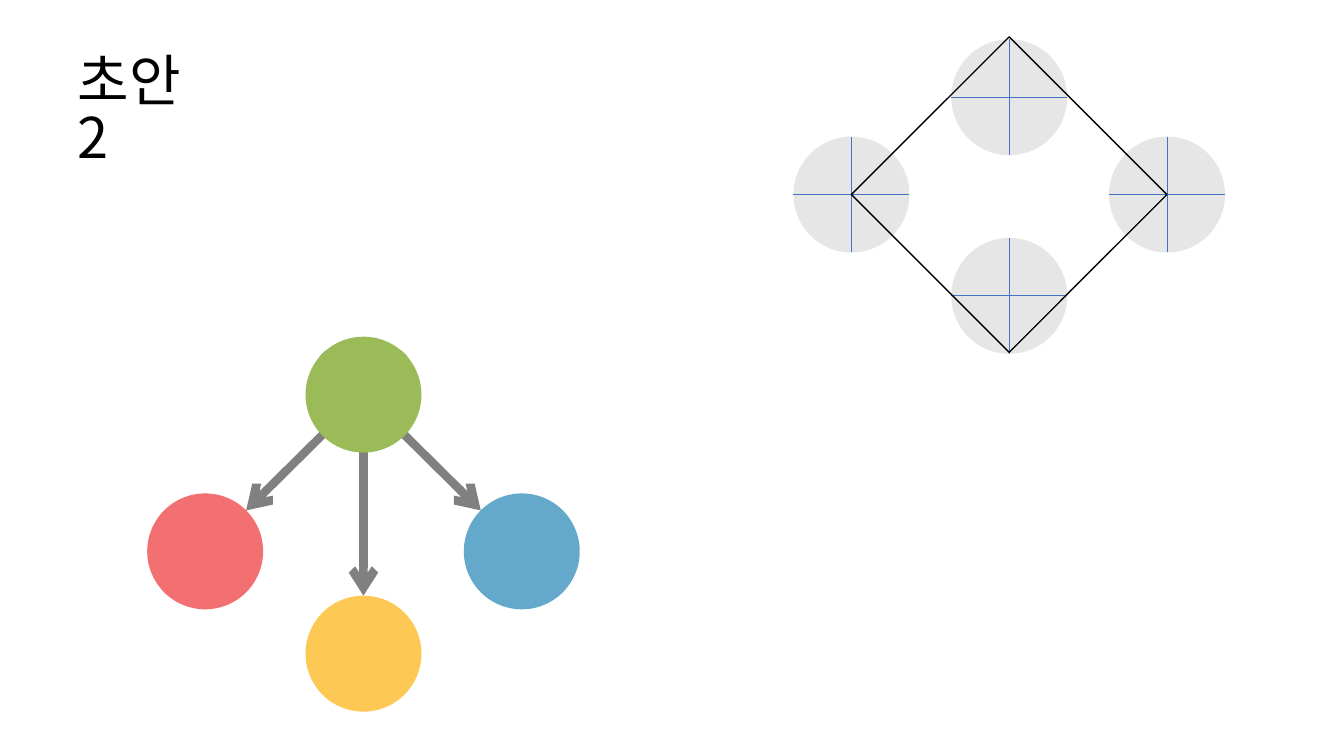
import math

import pptx
import pptx.dml.color
import pptx.enum.shapes
import pptx.enum.text
import pptx.oxml.ns
import pptx.util
from lxml import etree

Inches = pptx.util.Inches
Pt = pptx.util.Pt
RGBColor = pptx.dml.color.RGBColor
MSO_SHAPE = pptx.enum.shapes.MSO_SHAPE
qn = pptx.oxml.ns.qn

BLACK = RGBColor(0x00, 0x00, 0x00)
RED = RGBColor(0xF2, 0x70, 0x71)
YELLOW = RGBColor(0xFE, 0xC8, 0x54)
BLUE = RGBColor(0x64, 0xA9, 0xCB)
GREEN = RGBColor(0x9B, 0xBB, 0x58)
PALE_GRAY = RGBColor(0xE7, 0xE6, 0xE6)
ARROW_GRAY = RGBColor(0x80, 0x80, 0x80)
GUIDE_BLUE = RGBColor(0x44, 0x72, 0xC4)

FONT_NAME = "Noto Sans CJK KR"
RADIUS = 0.575


def set_attributes(target, values):
    for name, value in values.items():
        setattr(target, name, value)


def add_circle(slide, center, color):
    x, y = center
    circle = slide.shapes.add_shape(
        MSO_SHAPE.OVAL, Inches(x - RADIUS), Inches(y - RADIUS),
        Inches(2 * RADIUS), Inches(2 * RADIUS))
    circle.shadow.inherit = False
    circle.fill.solid()
    circle.fill.fore_color.rgb = color
    circle.line.fill.background()


def add_line(slide, start, end, color, width, arrow=False):
    line = slide.shapes.add_connector(
        pptx.enum.shapes.MSO_CONNECTOR.STRAIGHT,
        *(Inches(value) for value in (*start, *end)))
    line.line.color.rgb = color
    line.line.width = Pt(width)
    if arrow:
        outline = line.line._get_or_add_ln()
        etree.SubElement(outline, qn("a:tailEnd"), type="arrow")
    etree.SubElement(line._element.spPr, qn("a:effectLst"))


def get_centers(box, side_offset):
    """Circle centres at the four sides of a box; side_offset is the left and right height."""
    left, top, width, height = box
    middle = left + width / 2
    return {
        "top": (middle, top + RADIUS),
        "left": (left + RADIUS, top + side_offset),
        "bottom": (middle, top + height - RADIUS),
        "right": (left + width - RADIUS, top + side_offset),
    }


def add_title(slide, box):
    title = slide.shapes.title
    set_attributes(title, dict(zip(("left", "top", "width", "height"), map(Inches, box))))
    frame = title.text_frame
    set_attributes(frame, {
        "text": "초안 2",
        "word_wrap": True,
        "auto_size": pptx.enum.text.MSO_AUTO_SIZE.SHAPE_TO_FIT_TEXT,
        "vertical_anchor": pptx.enum.text.MSO_ANCHOR.TOP,
    })
    paragraph = frame.paragraphs[0]
    set_attributes(paragraph, {
        "alignment": pptx.enum.text.PP_ALIGN.LEFT, "line_spacing": 0.85})
    font = paragraph.runs[0].font
    set_attributes(font, {"name": FONT_NAME, "size": Pt(40), "bold": False})
    font.color.rgb = BLACK
    # Korean letters take the East Asian font
    etree.SubElement(font._element, qn("a:ea"), typeface=FONT_NAME)


def add_guide_diagram(slide, box):
    centers = get_centers(box, side_offset=1.54)

    # Circles with cross hairs
    for x, y in centers.values():
        add_circle(slide, (x, y), PALE_GRAY)
        add_line(slide, (x - RADIUS, y), (x + RADIUS, y), GUIDE_BLUE, 0.5)
        add_line(slide, (x, y - RADIUS), (x, y + RADIUS), GUIDE_BLUE, 0.5)

    # Square on its corner, from the left centre to the right centre
    left_x, middle_y = centers["left"]
    right_x = centers["right"][0]
    side = (right_x - left_x) / math.sqrt(2)
    diamond = slide.shapes.add_shape(
        MSO_SHAPE.RECTANGLE, Inches((left_x + right_x - side) / 2),
        Inches(middle_y - side / 2), Inches(side), Inches(side))
    diamond.rotation = 315
    diamond.shadow.inherit = False
    diamond.fill.background()
    diamond.line.color.rgb = BLACK
    diamond.line.width = Pt(1)


def add_tree_diagram(slide, box):
    centers = get_centers(box, side_offset=2.13)

    # Child circles
    for side, color in (("left", RED), ("bottom", YELLOW), ("right", BLUE)):
        add_circle(slide, centers[side], color)

    # Arrows join matching points on the rims, given by their angle from the top
    for side, degrees in (("left", 45), ("bottom", 0), ("right", -45)):
        angle = math.radians(degrees)
        start, end = (
            (x + RADIUS * math.sin(angle), y - RADIUS * math.cos(angle))
            for x, y in (centers["top"], centers[side]))
        add_line(slide, start, end, ARROW_GRAY, 6, arrow=True)

    # Parent circle covers the arrow starts
    add_circle(slide, centers["top"], GREEN)


def main():
    presentation = pptx.Presentation()
    presentation.slide_width = Inches(13.33)
    presentation.slide_height = Inches(7.5)
    slide = presentation.slides.add_slide(presentation.slide_layouts[5])
    add_title(slide, (0.67, 0.5, 1.58, 0.77))
    add_guide_diagram(slide, (7.87, 0.39, 4.28, 3.12))
    add_tree_diagram(slide, (1.46, 3.34, 4.29, 3.72))
    presentation.save("out.pptx")


if __name__ == "__main__":
    main()
